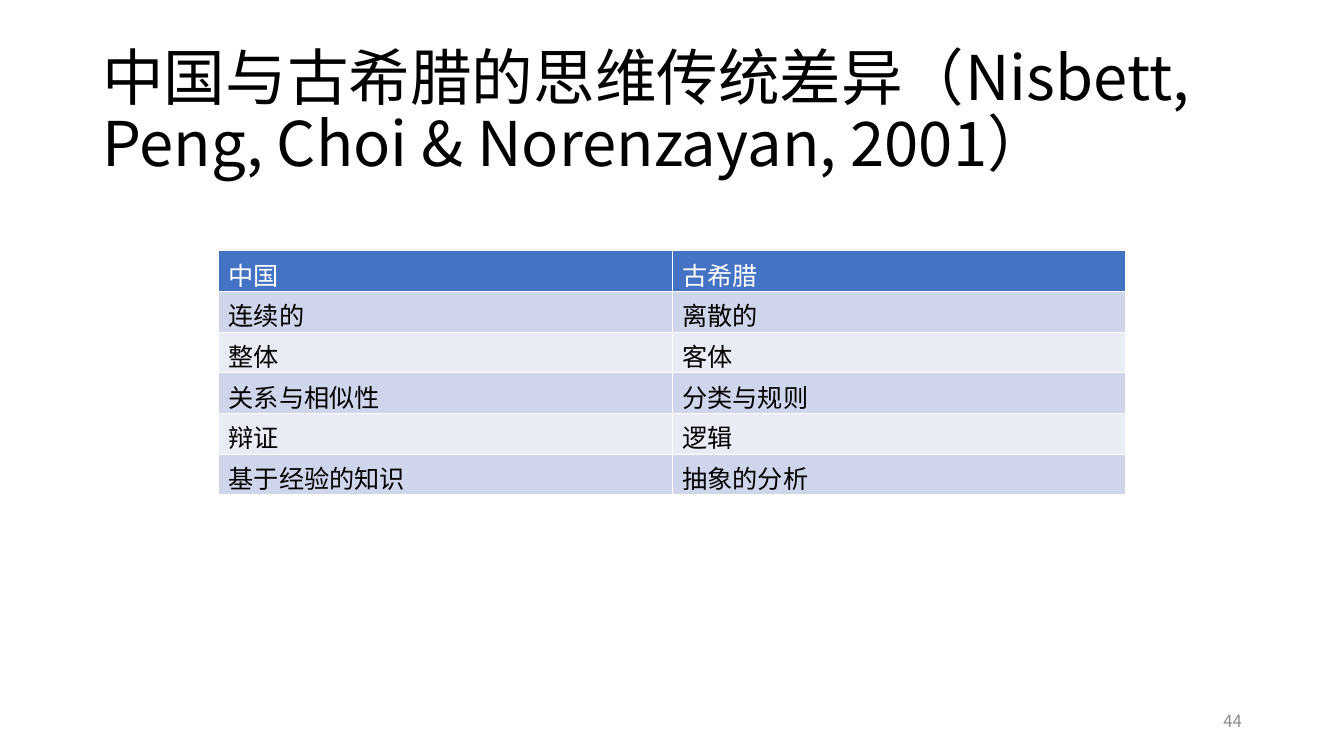
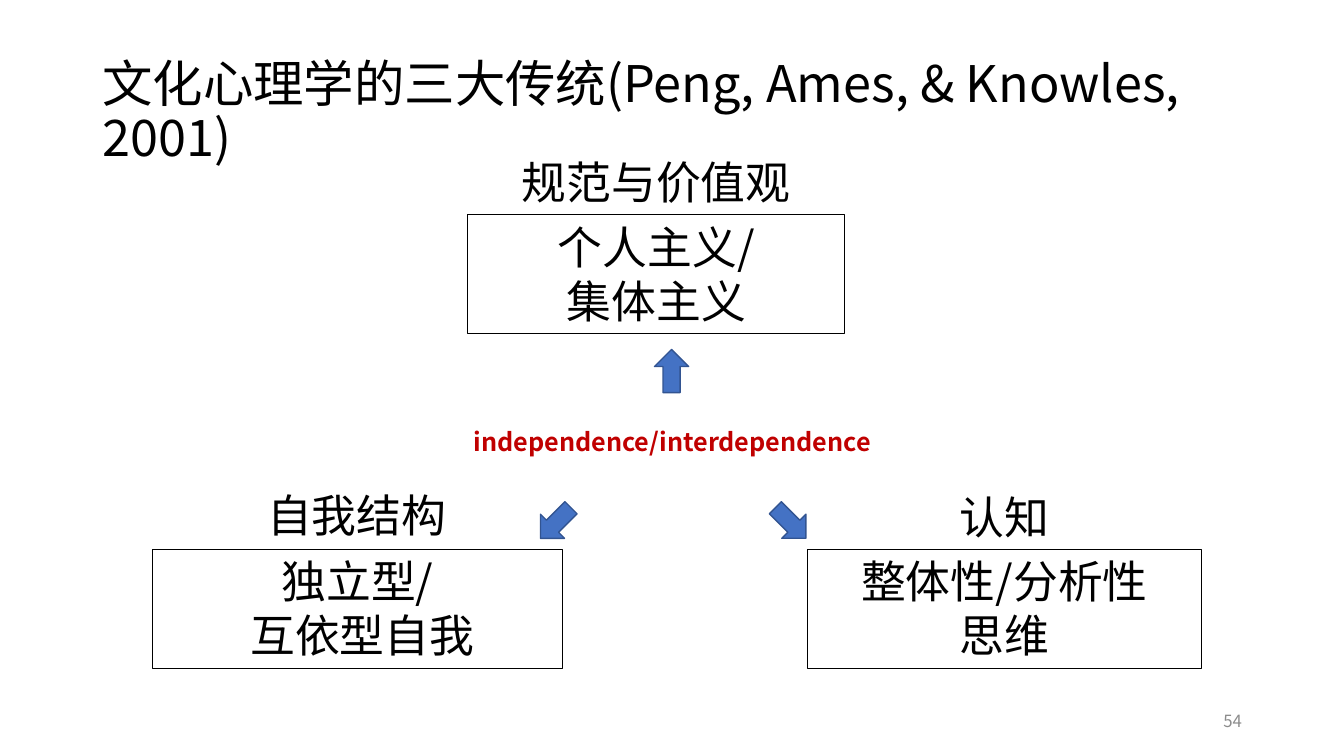
from dataclasses import dataclass

from lxml import etree
from pptx import Presentation
from pptx import util as u
from pptx.dml import color
from pptx.enum import shapes, text
from pptx.oxml import ns

FONT = "Noto Sans CJK SC"
HUES = {
    "ink": "000000", "white": "FFFFFF", "gray": "8C8C8C", "red": "C00000",
    "blue": "4472C4", "edge": "325491", "dark": "CFD5EA", "light": "E9EBF5",
}
ALIGN = {"l": text.PP_ALIGN.LEFT, "c": text.PP_ALIGN.CENTER, "r": text.PP_ALIGN.RIGHT}
ROWS = [
    ("中国", "古希腊"),
    ("连续的", "离散的"),
    ("整体", "客体"),
    ("关系与相似性", "分类与规则"),
    ("辩证", "逻辑"),
    ("基于经验的知识", "抽象的分析"),
]


@dataclass
class Area:
    x: float
    y: float
    w: float
    h: float

    def place(self):
        return [u.Cm(n) for n in (self.x, self.y, self.w, self.h)]


@dataclass
class Topic:
    head: str
    body: str
    label: Area
    box: Area


@dataclass
class Arrow:
    x: float
    y: float
    turn: int


TITLE = Area(2.33, 1.02, 29.21, 3.68)
NUMBER = Area(23.93, 17.65, 7.62, 1.02)
GRID = Area(5.51, 6.32, 22.86, 6.15)
CORE = Area(11.48, 10.62, 10.92, 1.02)
TOPICS = [
    Topic("规范与价值观", "个人主义/\v集体主义",
          Area(11.79, 3.78, 9.5, 1.63), Area(11.79, 5.41, 9.5, 3)),
    Topic("自我结构", "独立型/\n 互依型自我",
          Area(4.24, 12.17, 9.5, 1.63), Area(3.84, 13.84, 10.34, 3)),
    Topic("认知", "整体性/分析性\n思维",
          Area(20.35, 12.22, 9.93, 1.63), Area(20.35, 13.84, 9.93, 3)),
]
ARROWS = [Arrow(13.46, 12.75, 135), Arrow(19.38, 12.75, 45), Arrow(16.38, 8.92, 270)]


def tint(name: str) -> color.RGBColor:
    return color.RGBColor.from_string(HUES[name])


def write(frame, words: str, size: int = 18, hue: str = "ink", bold: bool = False,
          align: str = "l", mid: bool = False, lead: float = 1.0) -> None:
    frame.word_wrap = True
    frame.vertical_anchor = text.MSO_ANCHOR.MIDDLE if mid else text.MSO_ANCHOR.TOP
    frame.text = words
    for para in frame.paragraphs:
        para.alignment = ALIGN[align]
        para.line_spacing = lead
        for run in para.runs:
            font = run.font
            font.name, font.size, font.bold = FONT, u.Pt(size), bold
            font.color.rgb = tint(hue)
            face = etree.SubElement(run._r.get_or_add_rPr(), ns.qn("a:ea"))
            face.set("typeface", FONT)


def label(slide, area: Area, words: str, **form) -> None:
    write(slide.shapes.add_textbox(*area.place()).text_frame, words, **form)


def shape(slide, kind, area: Area, edge: str, fill: str = ""):
    item = slide.shapes.add_shape(kind, *area.place())
    item.shadow.inherit = False
    if fill:
        item.fill.solid()
        item.fill.fore_color.rgb = tint(fill)
    else:
        item.fill.background()
    item.line.color.rgb = tint(edge)
    item.line.width = u.Pt(1)
    return item


def border(cell) -> None:
    props = cell._tc.get_or_add_tcPr()
    for spot, side in enumerate(("lnL", "lnR", "lnT", "lnB")):
        line = etree.Element(ns.qn("a:" + side), w=str(u.Pt(1)))
        fill = etree.SubElement(line, ns.qn("a:solidFill"))
        etree.SubElement(fill, ns.qn("a:srgbClr"), val=HUES["white"])
        props.insert(spot, line)


def table(slide, rows: list, area: Area) -> None:
    grid = slide.shapes.add_table(len(rows), len(rows[0]), *area.place()).table
    for r, row in enumerate(rows):
        fill = "blue" if r == 0 else "dark" if r % 2 else "light"
        for c, words in enumerate(row):
            cell = grid.cell(r, c)
            cell.fill.solid()
            cell.fill.fore_color.rgb = tint(fill)
            border(cell)
            write(cell.text_frame, words, hue="ink" if r else "white")


def start(deck, title: str, size: int, number: int):
    slide = deck.slides.add_slide(deck.slide_layouts[6])
    label(slide, TITLE, title, size=size, mid=True, lead=0.9)
    label(slide, NUMBER, str(number), size=12, hue="gray", align="r", mid=True)
    return slide


def main() -> None:
    deck = Presentation()
    deck.slide_width, deck.slide_height = u.Cm(33.87), u.Cm(19.05)

    slide = start(deck, "中国与古希腊的思维传统差异（Nisbett, Peng, Choi & Norenzayan, 2001）", 44, 44)
    table(slide, ROWS, GRID)

    slide = start(deck, "文化心理学的三大传统(Peng, Ames, & Knowles, 2001)", 36, 54)
    for topic in TOPICS:
        label(slide, topic.label, topic.head, size=32, align="c")
        box = shape(slide, shapes.MSO_SHAPE.RECTANGLE, topic.box, "ink")
        write(box.text_frame, topic.body, size=32, align="c")
    for arrow in ARROWS:
        area = Area(arrow.x, arrow.y, 1.09, 0.86)
        item = shape(slide, shapes.MSO_SHAPE.RIGHT_ARROW, area, "edge", "blue")
        item.rotation = arrow.turn
    label(slide, CORE, "independence/interdependence", hue="red", bold=True, align="c")

    deck.save("out.pptx")


if __name__ == "__main__":
    main()
